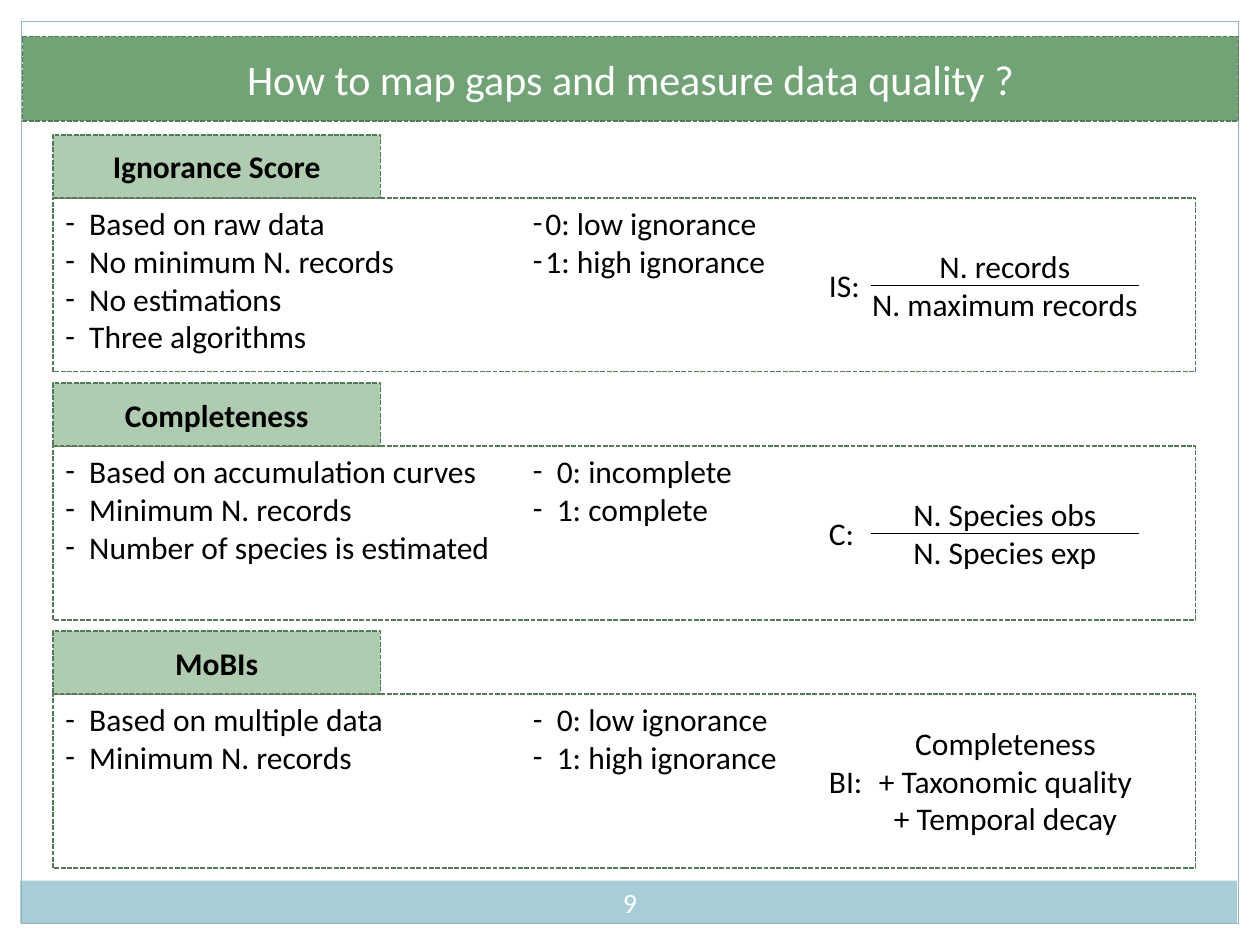
"""Build the slide that compares three measures of data quality."""
import lxml.etree
import pptx
import pptx.dml.color
import pptx.enum.dml
import pptx.enum.shapes
import pptx.enum.text
import pptx.oxml.ns
import pptx.util
from dataclasses import dataclass

Pt = pptx.util.Pt
ALIGN = pptx.enum.text.PP_ALIGN
ANCHOR = pptx.enum.text.MSO_ANCHOR

TITLE = "How to map gaps and measure data quality ?"
PAGE_NUMBER = "9"
SECTIONS = [
    {
        "name": "Ignorance Score",
        "traits": ["Based on raw data", "No minimum N. records", "No estimations", "Three algorithms"],
        "scale": ["0: low ignorance", "1: high ignorance"],
        "scale_indent": 7.2,
        "symbol": "IS:",
        "fraction": ["N. records", "N. maximum records"],
    },
    {
        "name": "Completeness",
        "traits": ["Based on accumulation curves", "Minimum N. records", "Number of species is estimated"],
        "scale": ["0: incomplete", "1: complete"],
        "scale_indent": 13.7,
        "symbol": "C:",
        "fraction": ["N. Species obs", "N. Species exp"],
    },
    {
        "name": "MoBIs",
        "traits": ["Based on multiple data", "Minimum N. records"],
        "scale": ["0: low ignorance", "1: high ignorance"],
        "scale_indent": 13.7,
        "symbol": "BI:",
        "terms": ["Completeness", "+ Taxonomic quality", "+ Temporal decay"],
    },
]


@dataclass(frozen=True)
class Theme:
    """Colours, font and type sizes."""

    font: str = "Calibri"
    title_size: float = 24
    body_size: float = 18
    number_size: float = 16
    ink: str = "000000"
    light: str = "FFFFFF"
    banner: str = "72A376"
    tab: str = "B0CCB0"
    dash: str = "547957"
    footer: str = "A8CDD7"
    frame: str = "94B5BE"


THEME = Theme()
LEFT, TOP, PITCH = 30.24, 77.04, 141.84
TAB_WIDTH, TAB_HEIGHT = 187.2, 36
BODY_WIDTH, BODY_HEIGHT = 653.04, 99.36
TRAIT_INDENT = 13.7
SCALE_LEFT, SYMBOL_LEFT = 297.4, 466.6
RULE_LEFT, RULE_RIGHT = 497.5, 650.9


def rgb(value):
    """Turn a hex string into a colour."""
    return pptx.dml.color.RGBColor.from_string(value)


def add_box(page, area, fill=None, line=None, width=0.9, dashed=True):
    """Add a rectangle with the given fill and outline."""
    box = page.shapes.add_shape(pptx.enum.shapes.MSO_SHAPE.RECTANGLE, *map(Pt, area))
    box.shadow.inherit = False
    if fill:
        box.fill.solid()
        box.fill.fore_color.rgb = rgb(fill)
    else:
        box.fill.background()
    if line:
        box.line.color.rgb = rgb(line)
        box.line.width = Pt(width)
        if dashed:
            box.line.dash_style = pptx.enum.dml.MSO_LINE.SQUARE_DOT
    else:
        box.line.fill.background()
    return box


def write(box, lines, size=THEME.body_size, color=THEME.ink, bold=False,
          align=ALIGN.LEFT, anchor=ANCHOR.TOP, indent=None):
    """Write one paragraph per line, with dash bullets when indented."""
    frame = box.text_frame
    frame.vertical_anchor = anchor
    for index, line in enumerate(lines):
        para = frame.paragraphs[0] if index == 0 else frame.add_paragraph()
        para.text = line
        para.alignment = align
        if indent:
            props = para._p.get_or_add_pPr()
            props.set("marL", str(Pt(indent)))
            props.set("indent", str(-Pt(indent)))
            for tag, key, value in (("a:buFont", "typeface", THEME.font), ("a:buChar", "char", "-")):
                lxml.etree.SubElement(props, pptx.oxml.ns.qn(tag)).set(key, value)
        para.font.name = THEME.font
        para.font.size = Pt(size)
        para.font.bold = bold
        para.font.color.rgb = rgb(color)


def add_text(page, area, lines, **style):
    """Add a text box whose lines do not wrap."""
    box = page.shapes.add_textbox(*map(Pt, area))
    box.text_frame.word_wrap = False
    write(box, lines, **style)
    return box


def add_rule(page, y):
    """Draw the bar of a fraction."""
    rule = page.shapes.add_connector(
        pptx.enum.shapes.MSO_CONNECTOR.STRAIGHT, Pt(RULE_LEFT), Pt(y), Pt(RULE_RIGHT), Pt(y))
    rule.line.color.rgb = rgb(THEME.ink)
    rule.line.width = Pt(0.25)
    lxml.etree.SubElement(rule._element.spPr, pptx.oxml.ns.qn("a:effectLst"))


def add_section(page, section, top):
    """Add a tab, its panel, the scale and the formula."""
    body_top = top + TAB_HEIGHT
    middle = body_top + BODY_HEIGHT / 2
    panel = add_box(page, (LEFT, body_top, BODY_WIDTH, BODY_HEIGHT), line=THEME.dash)
    write(panel, section["traits"], indent=TRAIT_INDENT)
    panel.text_frame._txBody.bodyPr.set("numCol", "2")
    tab = add_box(page, (LEFT, top, TAB_WIDTH, TAB_HEIGHT), THEME.tab, THEME.dash)
    write(tab, [section["name"]], bold=True, align=ALIGN.CENTER, anchor=ANCHOR.MIDDLE)
    add_text(page, (SCALE_LEFT, body_top, 155.5, 51), section["scale"], indent=section["scale_indent"])
    add_text(page, (SYMBOL_LEFT, middle - 14.4, 34, 28.8), [section["symbol"]])
    if "fraction" in section:
        add_rule(page, middle)
        add_text(page, (490.3, middle - 25.2, 167.8, 51), section["fraction"], align=ALIGN.CENTER)
    else:
        add_text(page, (484.6, middle - 36.4, 180, 72.7), section["terms"], align=ALIGN.CENTER)


def main():
    """Build and save the deck."""
    deck = pptx.Presentation()
    deck.slide_width, deck.slide_height = Pt(720), Pt(540)
    page = deck.slides.add_slide(deck.slide_layouts[6])
    add_box(page, (11.5, 503.3, 695.5, 24.5), THEME.footer)
    add_box(page, (12.2, 12.2, 695.5, 515.5), line=THEME.frame, width=0.75, dashed=False)
    add_text(page, (336, 498.2, 48, 34.6), [PAGE_NUMBER], size=THEME.number_size,
             color=THEME.light, align=ALIGN.CENTER, anchor=ANCHOR.MIDDLE)
    banner = add_box(page, (12.9, 20.9, 694.8, 48.2), THEME.banner, THEME.dash)
    write(banner, [TITLE], size=THEME.title_size, color=THEME.light,
          align=ALIGN.CENTER, anchor=ANCHOR.MIDDLE)
    for index, section in enumerate(SECTIONS):
        add_section(page, section, TOP + index * PITCH)
    deck.save("out.pptx")


if __name__ == "__main__":
    main()
